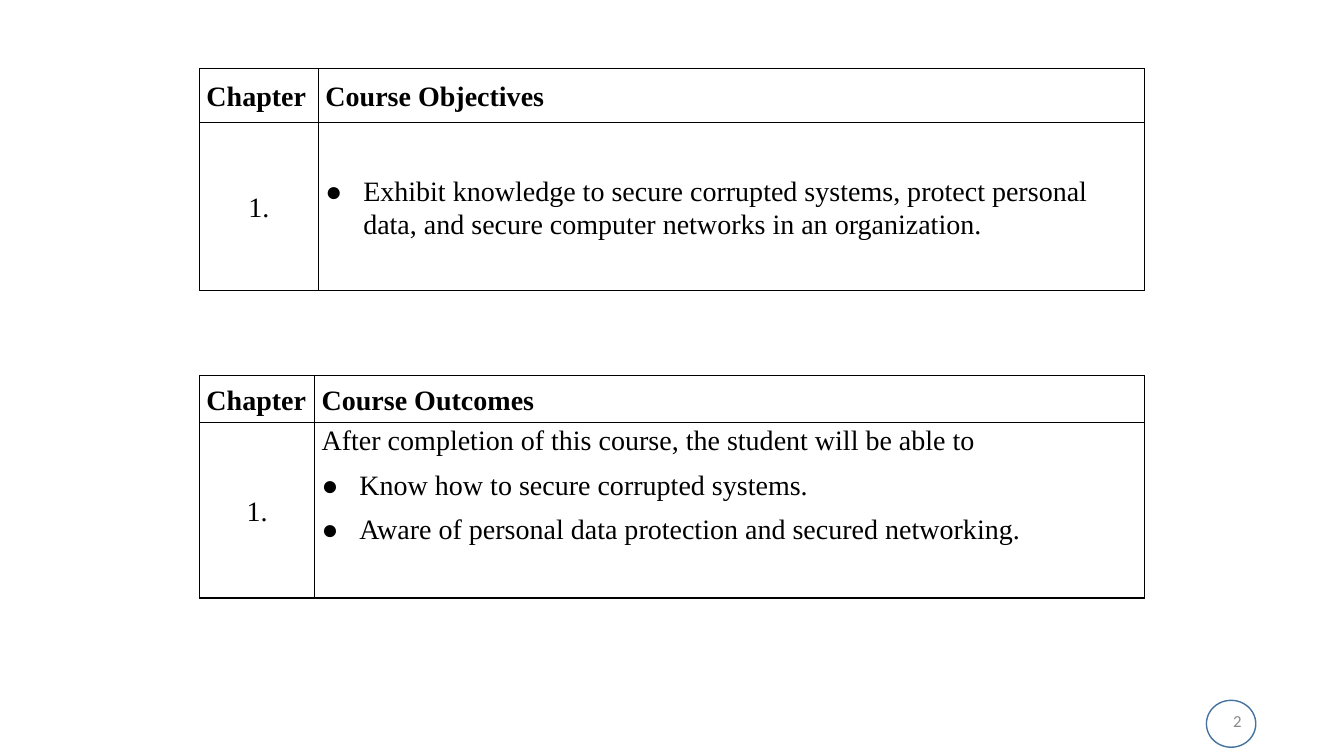
from dataclasses import dataclass

from lxml.etree import SubElement
from pptx import Presentation
from pptx.dml.color import RGBColor
from pptx.enum.shapes import MSO_SHAPE
from pptx.enum.text import MSO_ANCHOR, PP_ALIGN
from pptx.oxml import parse_xml
from pptx.oxml.ns import nsdecls, qn
from pptx.util import Pt


@dataclass(frozen=True)
class Theme:
    ink: str = "000000"
    badge_line: str = "43739E"
    badge_ink: str = "898989"
    body_font: str = "Times New Roman"
    badge_font: str = "Calibri"
    body_size: float = 20
    badge_size: float = 12
    rule: float = 1


THEME = Theme()


def write(paragraph, text, font=THEME.body_font, size=THEME.body_size,
          color=THEME.ink, bold=False, align=PP_ALIGN.LEFT,
          line_spacing=1.07, space_after=8, bullet=False):
    paragraph.alignment = align
    paragraph.line_spacing = line_spacing
    paragraph.space_after = Pt(space_after)
    run = paragraph.add_run()
    run.text = text
    run.font.name = font
    run.font.size = Pt(size)
    run.font.bold = bold
    run.font.color.rgb = RGBColor.from_string(color)
    if bullet:
        properties = paragraph._p.get_or_add_pPr()
        properties.set("marL", str(Pt(27)))
        properties.set("indent", str(Pt(-27)))
        SubElement(properties, qn("a:buFont")).set("typeface", font)
        SubElement(properties, qn("a:buChar")).set("char", "●")


def frame_cell(cell):
    cell.fill.background()
    properties = cell._tc.get_or_add_tcPr()
    for position, side in enumerate("LRTB"):
        properties.insert(position, parse_xml(
            f'<a:ln{side} {nsdecls("a")} w="{Pt(THEME.rule)}"><a:solidFill>'
            f'<a:srgbClr val="{THEME.ink}"/></a:solidFill></a:ln{side}>'))


def fill_cell(cell, lines, anchor=MSO_ANCHOR.MIDDLE):
    frame_cell(cell)
    cell.margin_left = cell.margin_right = Pt(5)
    cell.margin_top, cell.margin_bottom = Pt(0.75), Pt(0)
    cell.vertical_anchor = anchor
    text_frame = cell.text_frame
    for index, (text, style) in enumerate(lines):
        paragraph = text_frame.add_paragraph() if index else text_frame.paragraphs[0]
        write(paragraph, text, **style)


def add_chapter_table(slide, left, top, width, height, chapter_width,
                      header_height, heading, points, anchor):
    table = slide.shapes.add_table(
        2, 2, Pt(left), Pt(top), Pt(width), Pt(height)).table
    table.first_row = table.horz_banding = False
    table.columns[0].width = Pt(chapter_width)
    table.columns[1].width = Pt(width - chapter_width)
    table.rows[0].height = Pt(header_height)
    table.rows[1].height = Pt(height - header_height)
    fill_cell(table.cell(0, 0), [("Chapter", {"bold": True})])
    fill_cell(table.cell(0, 1), [(heading, {"bold": True})])
    fill_cell(table.cell(1, 0), [("1.", {"align": PP_ALIGN.CENTER})])
    fill_cell(table.cell(1, 1), points, anchor)


def add_page_number(slide, left, top, width, height, number):
    ring = slide.shapes.add_shape(
        MSO_SHAPE.OVAL, Pt(left), Pt(top), Pt(width), Pt(height))
    ring.shadow.inherit = False
    ring.fill.background()
    ring.line.color.rgb = RGBColor.from_string(THEME.badge_line)
    ring.line.width = Pt(THEME.rule)
    label_width = 216
    label = slide.shapes.add_textbox(
        Pt(left + width - 3 - label_width), Pt(top), Pt(label_width), Pt(28.75))
    label.text_frame.word_wrap = True
    label.text_frame.vertical_anchor = MSO_ANCHOR.MIDDLE
    write(label.text_frame.paragraphs[0], number, font=THEME.badge_font,
          size=THEME.badge_size, color=THEME.badge_ink,
          align=PP_ALIGN.RIGHT, line_spacing=1.0, space_after=0)


def main():
    presentation = Presentation()
    presentation.slide_width, presentation.slide_height = Pt(960), Pt(540)
    slide = presentation.slides.add_slide(presentation.slide_layouts[6])
    bulleted = {"bullet": True}
    objectives = [
        ("Exhibit knowledge to secure corrupted systems, protect personal data, "
         "and secure computer networks in an organization.", bulleted),
    ]
    outcomes = [
        ("After completion of this course, the student will be able to", {}),
        ("Know how to secure corrupted systems.", bulleted),
        ("Aware of personal data protection and secured networking.", bulleted),
    ]
    left, width, height = 142.5, 675, 158.75
    add_page_number(slide, 861.75, 500.25, 35.25, 33.5, "2")
    add_chapter_table(slide, left, 49, width, height, 85, 38.75,
                      "Course Objectives", objectives, MSO_ANCHOR.MIDDLE)
    add_chapter_table(slide, left, 268.5, width, height, 82.25, 33.5,
                      "Course Outcomes", outcomes, MSO_ANCHOR.TOP)
    presentation.save("out.pptx")


if __name__ == "__main__":
    main()
